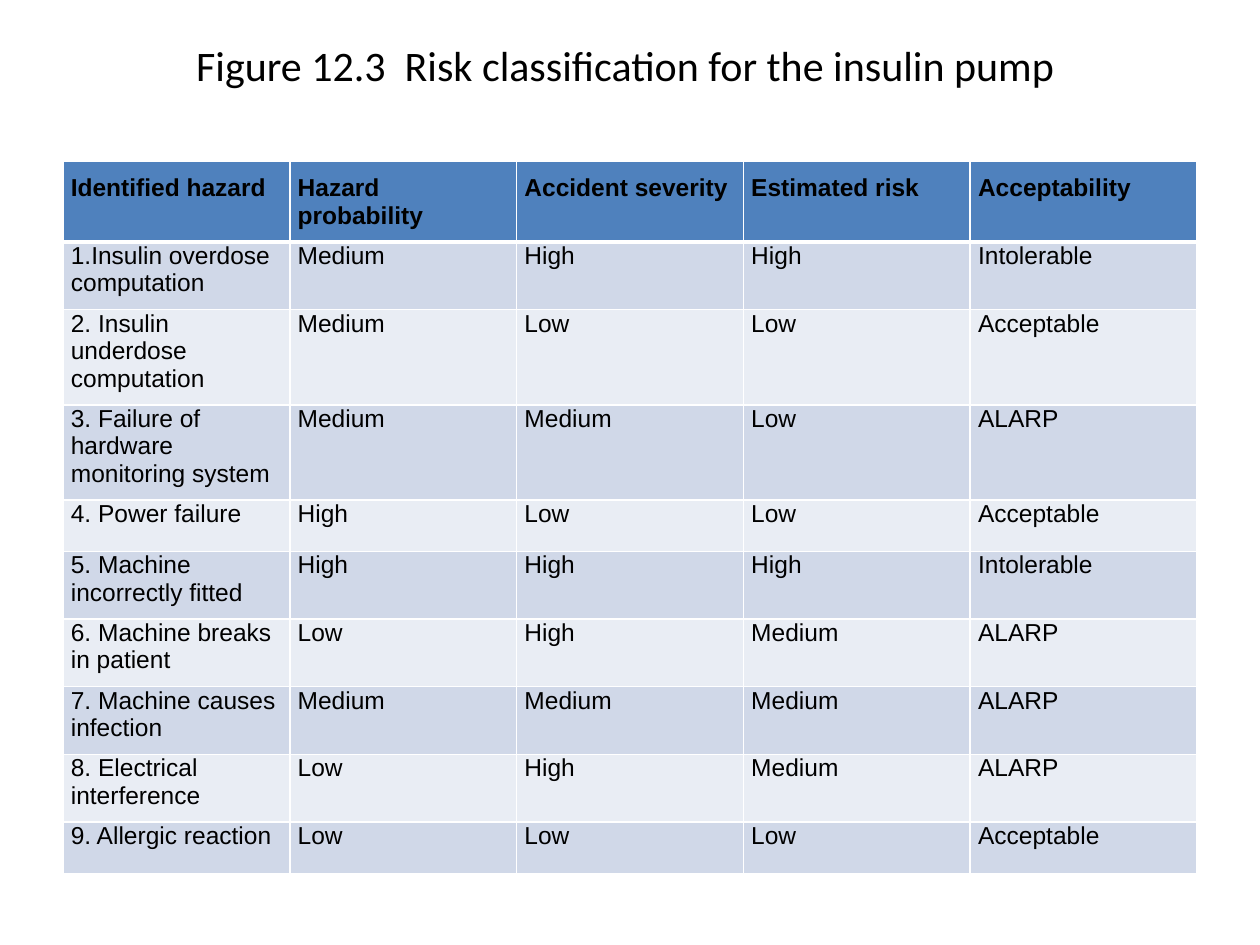
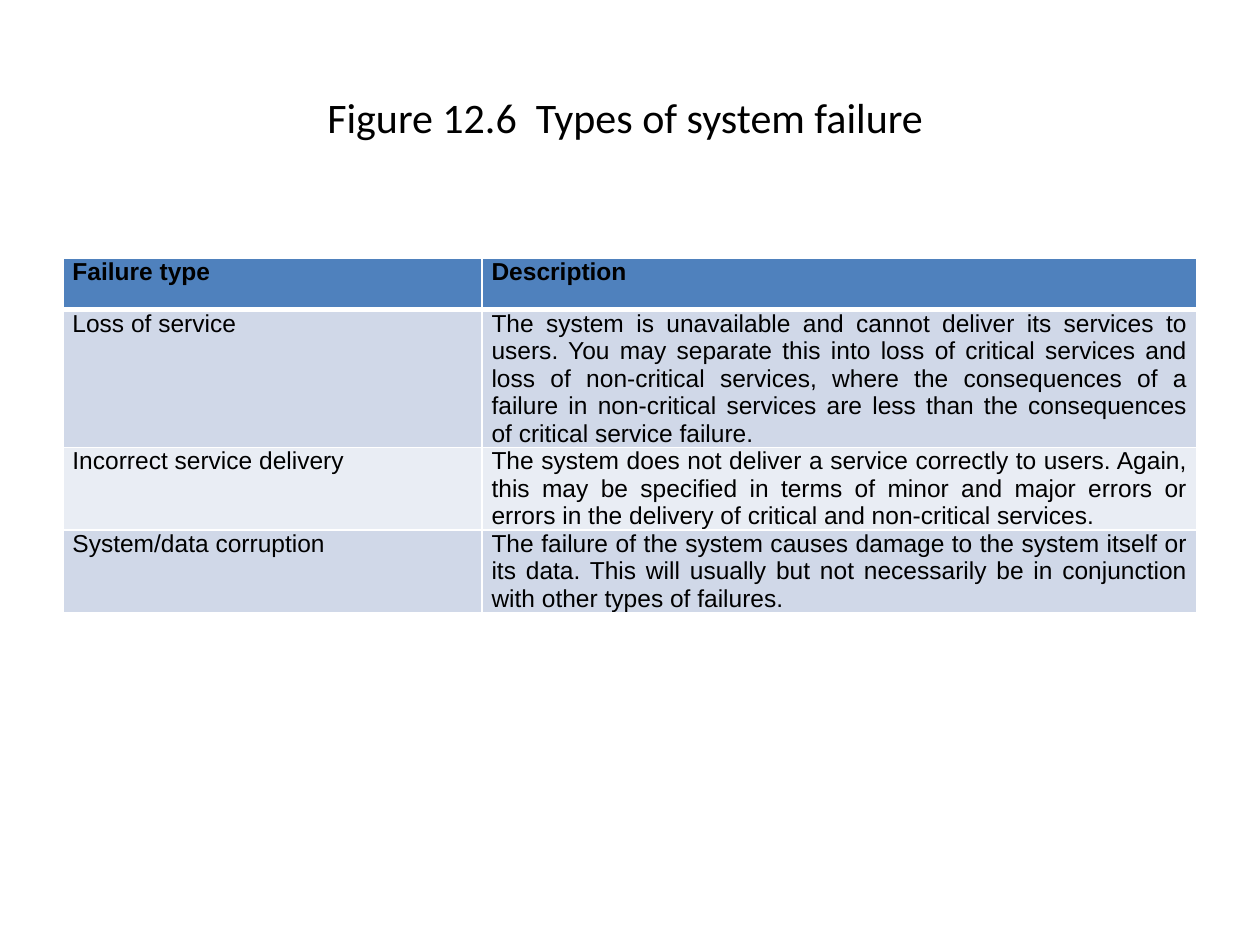
import dataclasses

import lxml.etree
import pptx
import pptx.dml.color
import pptx.enum.text
import pptx.oxml.ns
import pptx.util

Pt = pptx.util.Pt
Align = pptx.enum.text.PP_ALIGN
Anchor = pptx.enum.text.MSO_ANCHOR


@dataclasses.dataclass(frozen=True)
class Theme:
    text: str = "000000"
    header: str = "4F81BD"
    bands: tuple = ("D0D8E8", "E9EDF4")
    border: str = "FFFFFF"
    title_font: str = "Calibri"
    table_font: str = "Arial"
    title_size: float = 24
    table_size: float = 14
    thin: float = 1
    thick: float = 3


THEME = Theme()
LEFT, WIDTH = 36, 648
TITLE_HEIGHT = 90
ROW_HEIGHT = 29.2  # minimum; rows grow with their text

HAZARDS = [
    ("Identified hazard", "Hazard probability", "Accident severity",
     "Estimated risk", "Acceptability"),
    ("1.Insulin overdose computation", "Medium", "High", "High", "Intolerable"),
    ("2. Insulin underdose computation", "Medium", "Low", "Low", "Acceptable"),
    ("3. Failure of hardware monitoring system", "Medium", "Medium", "Low", "ALARP"),
    ("4. Power failure", "High", "Low", "Low", "Acceptable"),
    ("5. Machine incorrectly fitted", "High", "High", "High", "Intolerable"),
    ("6. Machine breaks in patient", "Low", "High", "Medium", "ALARP"),
    ("7. Machine causes infection", "Medium", "Medium", "Medium", "ALARP"),
    ("8. Electrical interference", "Low", "High", "Medium", "ALARP"),
    ("9. Allergic reaction", "Low", "Low", "Low", "Acceptable"),
]

FAILURES = [
    ("Failure type", "Description"),
    ("Loss of service",
     "The system is unavailable and cannot deliver its services to users. "
     "You may separate this into loss of critical services and loss of "
     "non-critical services, where the consequences of a failure in "
     "non-critical services are less than the consequences of critical "
     "service failure."),
    ("Incorrect service delivery",
     "The system does not deliver a service correctly to users. Again, this "
     "may be specified in terms of minor and major errors or errors in the "
     "delivery of critical and non-critical services."),
    ("System/data corruption",
     "The failure of the system causes damage to the system itself or its "
     "data. This will usually but not necessarily be in conjunction with "
     "other types of failures."),
]


def color(value):
    return pptx.dml.color.RGBColor.from_string(value)


def style_paragraph(para, font, size, align, bold=False):
    para.alignment = align
    para.font.name = font
    para.font.size = Pt(size)
    para.font.bold = bold
    para.font.color.rgb = color(THEME.text)


def add_titled_page(deck, title, top):
    page = deck.slides.add_slide(deck.slide_layouts.get_by_name("Title Only"))
    box = page.shapes.title
    box.left, box.top = Pt(LEFT), Pt(top)
    box.width, box.height = Pt(WIDTH), Pt(TITLE_HEIGHT)
    box.text_frame.text = title
    box.text_frame.vertical_anchor = Anchor.MIDDLE
    style_paragraph(box.text_frame.paragraphs[0], THEME.title_font,
                    THEME.title_size, Align.CENTER)
    return page


def set_borders(cell, row):
    """Thin lines all round, with a thick one under the header row."""
    widths = {
        "a:lnL": THEME.thin,
        "a:lnR": THEME.thin,
        "a:lnT": THEME.thick if row == 1 else THEME.thin,
        "a:lnB": THEME.thick if row == 0 else THEME.thin,
    }
    qn = pptx.oxml.ns.qn
    properties = cell._tc.get_or_add_tcPr()
    for place, (tag, width) in enumerate(widths.items()):
        line = lxml.etree.Element(qn(tag), w=str(Pt(width)))
        fill = lxml.etree.SubElement(line, qn("a:solidFill"))
        lxml.etree.SubElement(fill, qn("a:srgbClr"), val=THEME.border)
        properties.insert(place, line)


def fill_cell(cell, text, row, align, side, above, below):
    cell.margin_left = cell.margin_right = Pt(side)
    cell.margin_top, cell.margin_bottom = Pt(above), Pt(below)
    cell.text = text
    style_paragraph(cell.text_frame.paragraphs[0], THEME.table_font,
                    THEME.table_size, align, bold=row == 0)
    cell.fill.solid()
    cell.fill.fore_color.rgb = color(
        THEME.bands[(row - 1) % 2] if row else THEME.header)
    set_borders(cell, row)


def add_banded_table(page, rows, top, height, widths, side,
                     header_pad=0, bottom_pad=0, first_align=Align.JUSTIFY):
    frame = page.shapes.add_table(len(rows), len(widths), Pt(LEFT), Pt(top),
                                  Pt(WIDTH), Pt(height))
    table = frame.table
    table.horz_banding = False
    for column, width in zip(table.columns, widths):
        column.width = Pt(width)
    for row, texts in enumerate(rows):
        table.rows[row].height = Pt(ROW_HEIGHT)
        for column, text in enumerate(texts):
            align = first_align if row and column == 0 else Align.JUSTIFY
            fill_cell(table.cell(row, column), text, row, align, side,
                      0 if row else header_pad, bottom_pad)
    # Row heights reset the frame, so give it room for the grown rows
    frame.height = Pt(height)


def main():
    deck = pptx.Presentation()
    deck.slide_width, deck.slide_height = Pt(720), Pt(540)

    # Risk classification
    page = add_titled_page(
        deck, "Figure 12.3  Risk classification for the insulin pump ", top=-8)
    add_banded_table(page, HAZARDS, top=92.4, height=425.5,
                     widths=[WIDTH / 5] * 5, side=4.5, header_pad=7.2,
                     bottom_pad=7.2, first_align=Align.LEFT)

    # System failures
    page = add_titled_page(
        deck, "Figure 12.6  Types of system failure ", top=21.6)
    add_banded_table(page, FAILURES, top=147.8, height=213.8,
                     widths=[239.5, WIDTH - 239.5], side=5.4)

    deck.save("out.pptx")


main()
